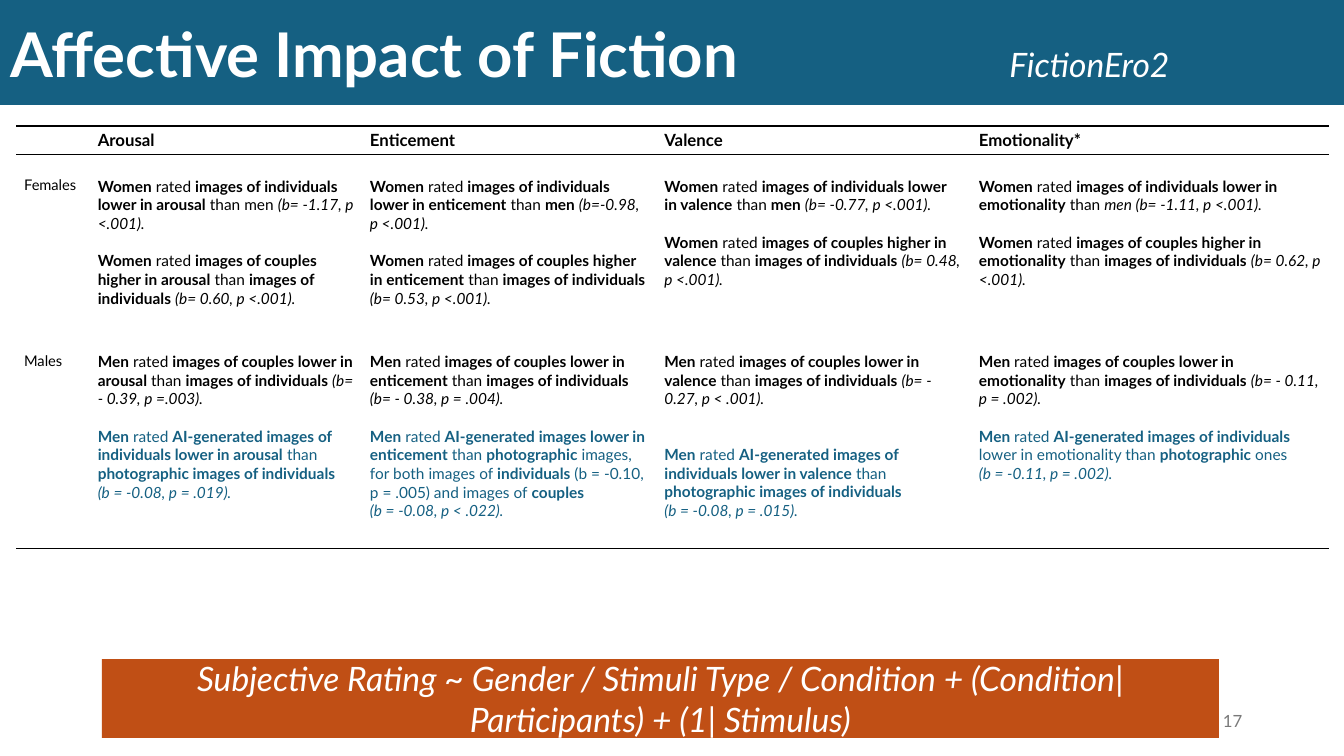
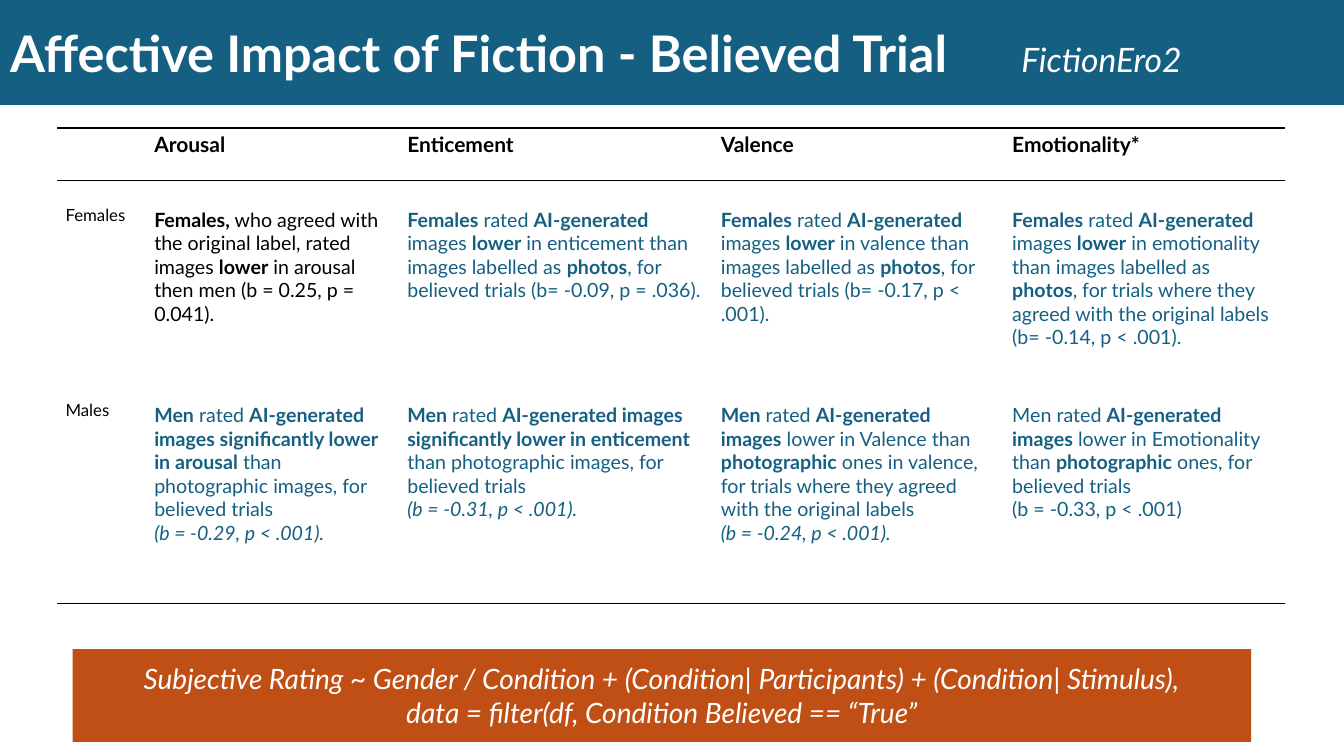
import dataclasses

import lxml.etree
import pptx
import pptx.dml.color
import pptx.enum.shapes
import pptx.enum.text
import pptx.oxml.ns
import pptx.util

Inches = pptx.util.Inches
Pt = pptx.util.Pt
RGB = pptx.dml.color.RGBColor
qn = pptx.oxml.ns.qn
PP_ALIGN = pptx.enum.text.PP_ALIGN
MIDDLE = pptx.enum.text.MSO_ANCHOR.MIDDLE


@dataclasses.dataclass(frozen=True)
class Theme:
    font: str = "Lato"
    teal: RGB = RGB(0x15, 0x60, 0x82)
    orange: RGB = RGB(0xC0, 0x4F, 0x15)
    white: RGB = RGB(0xFF, 0xFF, 0xFF)
    black: RGB = RGB(0, 0, 0)
    grey: RGB = RGB(0x79, 0x79, 0x79)
    project_size: float = 24
    page_size: float = 12
    line_spacing: float = 1.2


THEME = Theme()
NO_TABLE_STYLE = "{2D5ABB26-0587-4C30-8999-92F81FD0307C}"
MEASURES = ["Arousal", "Enticement", "Valence", "Emotionality*"]

# In the texts, *...* is bold and _..._ is italic. Each cell lists its
# statements; a line break starts a new line, a leading one adds a blank line.
SLIDES = [
    {
        "title": "Affective Impact of Fiction",
        "title_size": 44,
        "project_left": 9.91,
        "page": "17",
        "table_at": (0.16, 1.25),
        "columns": [0.73, 2.7, 2.92, 3.12, 3.55],
        "rows": [0.28, 1.74, 2.17],
        "header_size": 12,
        "group_size": 10.5,
        "body_size": 11,
        "findings": {
            "Females": [
                ["*Women* rated *images of individuals lower in arousal* than men "
                 "_(b= -1.17, p <.001)._",
                 "*Women* rated *images of couples higher in arousal* than "
                 "*images of individuals* _(b= 0.60, p <.001)._"],
                ["*Women* rated *images of individuals lower in enticement* than *men* "
                 "_(b=-0.98, p <.001)._",
                 "*Women* rated *images of couples higher in enticement* than "
                 "*images of individuals* _(b= 0.53, p <.001)._"],
                ["*Women* rated *images of individuals lower in valence* than *men* "
                 "_(b= -0.77, p <.001)._",
                 "*Women* rated *images of couples higher in valence* than "
                 "*images of individuals* _(b= 0.48, p <.001)._"],
                ["*Women* rated *images of individuals lower in emotionality* than "
                 "_men (b= -1.11, p <.001)._",
                 "*Women* rated *images of couples higher in emotionality* than "
                 "*images of individuals* _(b= 0.62, p <.001)._"],
            ],
            "Males": [
                ["*Men* rated *images of couples lower in arousal* than "
                 "*images of individuals* _(b= - 0.39, p =.003)._",
                 "*Men* rated *AI-generated images of individuals lower in arousal* than "
                 "*photographic images of individuals*\n_(b = -0.08, p = .019)._"],
                ["*Men* rated *images of couples lower in enticement* than "
                 "*images of individuals* _(b= - 0.38, p = .004)._",
                 "*Men* rated *AI-generated images lower in enticement* than "
                 "*photographic* images, for both images of *individuals* "
                 "(b = -0.10, p = .005) and images of *couples*\n"
                 "_(b = -0.08, p < .022)._"],
                ["*Men* rated *images of couples lower in valence* than "
                 "*images of individuals* _(b= - 0.27, p < .001)._",
                 "\n*Men* rated *AI-generated images of individuals lower in valence* than "
                 "*photographic images of individuals*\n_(b = -0.08, p = .015)._"],
                ["*Men* rated *images of couples lower in emotionality* than "
                 "*images of individuals* _(b= - 0.11, p = .002)._",
                 "*Men* rated *AI-generated images of individuals* lower in emotionality "
                 "than *photographic* ones\n_(b = -0.11, p = .002)._"],
            ],
        },
        "formula_at": (1.01, 6.54, 11.08, 0.78),
        "formula_size": 24,
        "formula": ["Subjective Rating ~ Gender / Stimuli Type / Condition + "
                    "(Condition| Participants) + (1| Stimulus)"],
    },
    {
        "title": "Affective Impact of Fiction - Believed Trial",
        "title_size": 36,
        "project_left": 10.03,
        "page": None,
        "table_at": (0.57, 1.27),
        "columns": [0.88, 2.51, 3.11, 2.89, 2.79],
        "rows": [0.52, 1.94, 2.26],
        "header_size": 15,
        "group_size": 12,
        "body_size": 14,
        "findings": {
            "Females": [
                ["*Females,* who agreed with the original label, rated images *lower* "
                 "in arousal then men (b = 0.25, p = 0.041)."],
                ["*Females* rated *AI-generated* images *lower* in enticement than images "
                 "labelled as *photos*, for believed trials (b= -0.09, p = .036)."],
                ["*Females* rated *AI-generated* images *lower* in valence than images "
                 "labelled as *photos*, for believed trials (b= -0.17, p < .001)."],
                ["*Females* rated *AI-generated* images *lower* in emotionality than images "
                 "labelled as *photos*, for trials where they agreed with the original "
                 "labels (b= -0.14, p < .001)."],
            ],
            "Males": [
                ["*Men* rated *AI-generated images significantly lower in arousal* than "
                 "photographic images, for believed trials\n_(b = -0.29, p < .001)._"],
                ["*Men* rated *AI-generated images significantly lower in enticement* than "
                 "photographic images, for believed trials\n_(b = -0.31, p < .001)._"],
                ["*Men* rated *AI-generated images* lower in Valence than *photographic* "
                 "ones in valence, for trials where they agreed with the original labels\n"
                 "_(b = -0.24, p < .001)._"],
                ["Men rated *AI-generated images* lower in Emotionality than "
                 "*photographic* ones, for believed trials\n(b = -0.33, p < .001)"],
            ],
        },
        "formula_at": (0.72, 6.44, 11.69, 0.92),
        "formula_size": 20,
        "formula": ["Subjective Rating ~ Gender / Condition + (Condition| Participants) + "
                    "(Condition| Stimulus),",
                    "data = filter(df, Condition Believed == “True”"],
    },
]


def write_runs(paragraph, markup, size, colour):
    """Add runs to the paragraph; *...* is bold and _..._ is italic."""
    for bold_index, bold_part in enumerate(markup.split("*")):
        for italic_index, words in enumerate(bold_part.split("_")):
            if not words:
                continue
            run = paragraph.add_run()
            run.text = words
            run.font.name = THEME.font
            run.font.size = Pt(size)
            run.font.color.rgb = colour
            run.font.bold = bold_index % 2 == 1
            run.font.italic = italic_index % 2 == 1


def draw_rule(cell, edge):
    """Put a thin black border on one edge, lnT or lnB, of the cell."""
    border = lxml.etree.Element(qn(f"a:{edge}"), w=str(Pt(1)))
    fill = lxml.etree.SubElement(border, qn("a:solidFill"))
    lxml.etree.SubElement(fill, qn("a:srgbClr"), val=str(THEME.black))
    cell._tc.get_or_add_tcPr().insert(0, border)


prs = pptx.Presentation()
prs.slide_width = Inches(13.33)
prs.slide_height = Inches(7.5)
title_only = prs.slide_layouts[5]

for content in SLIDES:
    slide = prs.slides.add_slide(title_only)

    # Title band, with the project name at a tab stop
    title = slide.shapes.title
    title.left, title.top = 0, 0
    title.width, title.height = prs.slide_width, Inches(1.04)
    title.fill.solid()
    title.fill.fore_color.rgb = THEME.teal
    title.text_frame.auto_size = pptx.enum.text.MSO_AUTO_SIZE.NONE
    title.text_frame.vertical_anchor = MIDDLE
    heading = title.text_frame.paragraphs[0]
    heading.alignment = PP_ALIGN.LEFT
    tabs = lxml.etree.SubElement(heading._p.get_or_add_pPr(), qn("a:tabLst"))
    lxml.etree.SubElement(tabs, qn("a:tab"), pos=str(Inches(content["project_left"])), algn="l")
    write_runs(heading, f"*{content['title']}*\t_FictionEro2_", content["title_size"], THEME.white)
    heading.runs[-1].font.size = Pt(THEME.project_size)

    # Findings by gender and measure
    left, top = content["table_at"]
    findings = slide.shapes.add_table(
        len(content["rows"]), len(content["columns"]), Inches(left), Inches(top),
        Inches(sum(content["columns"])), Inches(sum(content["rows"]))).table
    findings.first_row = False
    findings.horz_banding = False
    findings._tbl.tblPr.find(qn("a:tableStyleId")).text = NO_TABLE_STYLE
    for column, width in zip(findings.columns, content["columns"]):
        column.width = Inches(width)
    for row, height in zip(findings.rows, content["rows"]):
        row.height = Inches(height)
    for cell in findings.iter_cells():
        cell.margin_left = cell.margin_right = Inches(0.08)
        cell.margin_top = cell.margin_bottom = Inches(0.04)
        cell.fill.background()

    header_cells = findings.rows[0].cells
    for cell, measure in zip(header_cells, [""] + MEASURES):
        # "*" is a footnote mark here, so it is written after the bold words
        header = cell.text_frame.paragraphs[0]
        header.text = measure
        for run in header.runs:
            run.font.name = THEME.font
            run.font.size = Pt(content["header_size"])
            run.font.bold = True
            run.font.color.rgb = THEME.black
        if not measure:
            lxml.etree.SubElement(header._p, qn("a:endParaRPr"),
                                  sz=str(content["header_size"] * 100))
        draw_rule(cell, "lnB")
        draw_rule(cell, "lnT")

    for row_index, (group, results) in enumerate(content["findings"].items(), start=1):
        for column_index, statements in enumerate([[group]] + results):
            cell = findings.cell(row_index, column_index)
            size = content["body_size"] if column_index else content["group_size"]
            line_height = size * THEME.line_spacing
            cell.margin_top = Inches(0.04) + Pt(line_height)
            paragraph = cell.text_frame.paragraphs[0]
            for statement_index, statement in enumerate(statements):
                colour = THEME.teal if "AI-generated" in statement else THEME.black
                lines = statement.lstrip("\n")
                blank_lines = 1 + len(statement) - len(lines)
                for line_index, line in enumerate(lines.split("\n")):
                    if statement_index or line_index:
                        paragraph = cell.text_frame.add_paragraph()
                    if statement_index and not line_index:
                        paragraph.space_before = Pt(round(line_height * blank_lines, 1))
                    write_runs(paragraph, line, size, colour)
            if row_index == len(content["rows"]) - 1:
                draw_rule(cell, "lnB")

    # Page number
    if content["page"]:
        page = slide.shapes.add_textbox(Inches(9.42), Inches(6.95), Inches(3), Inches(0.4))
        page.text_frame.word_wrap = True
        page.text_frame.vertical_anchor = MIDDLE
        page_line = page.text_frame.paragraphs[0]
        page_line.alignment = PP_ALIGN.RIGHT
        write_runs(page_line, content["page"], THEME.page_size, THEME.grey)

    # Model formula
    formula = slide.shapes.add_shape(
        pptx.enum.shapes.MSO_SHAPE.RECTANGLE, *map(Inches, content["formula_at"]))
    formula.shadow.inherit = False
    formula.fill.solid()
    formula.fill.fore_color.rgb = THEME.orange
    formula.line.fill.background()
    formula.text_frame.word_wrap = True
    formula.text_frame.vertical_anchor = MIDDLE
    for line_index, line in enumerate(content["formula"]):
        frame = formula.text_frame
        formula_line = frame.add_paragraph() if line_index else frame.paragraphs[0]
        formula_line.alignment = PP_ALIGN.CENTER
        write_runs(formula_line, f"_{line}_", content["formula_size"], THEME.white)

prs.save("out.pptx")
